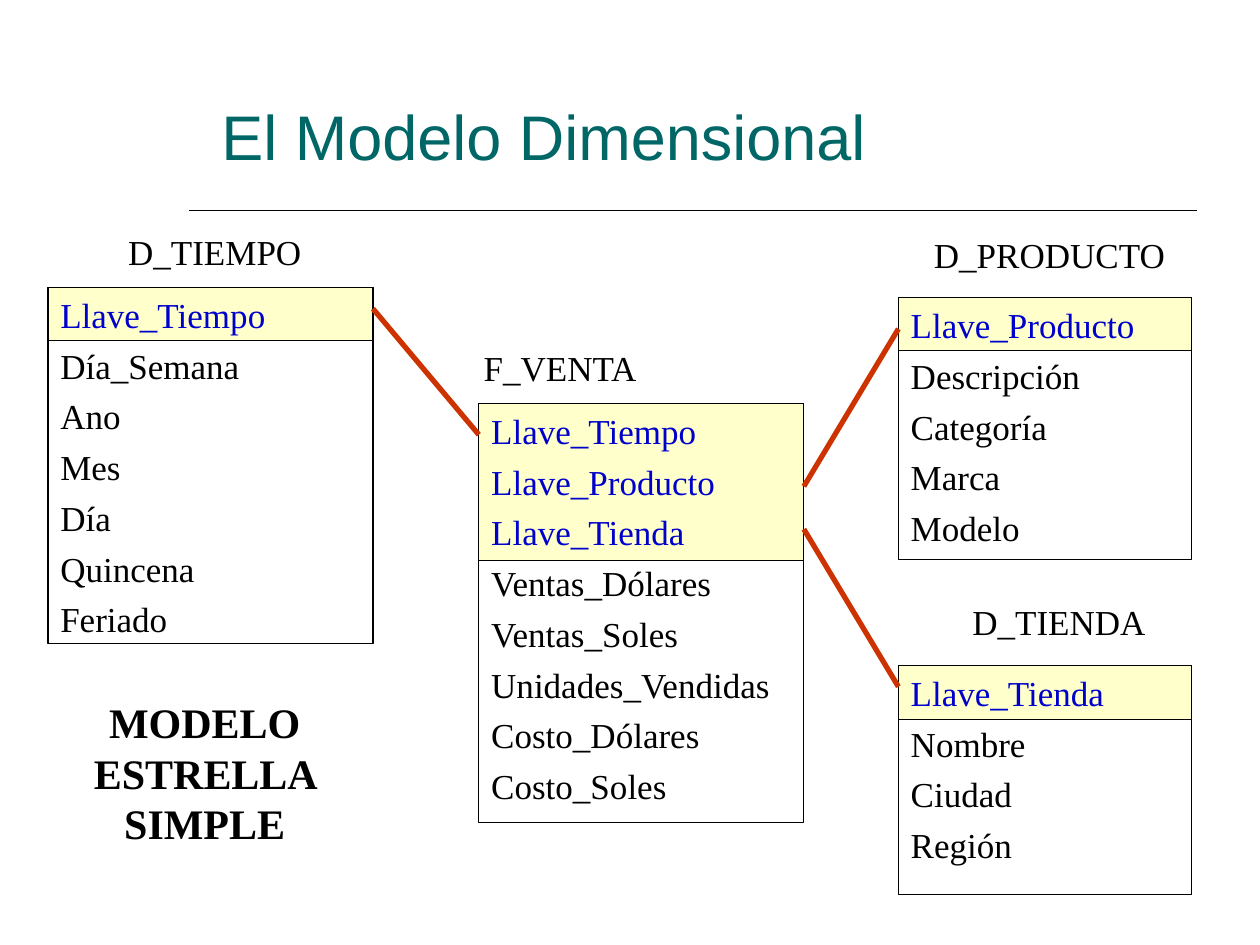
import pptx
import pptx.dml.color
import pptx.enum.shapes
import pptx.enum.text
import pptx.oxml.ns
import pptx.util
from lxml import etree

WIDTH, HEIGHT = pptx.util.Inches(10), pptx.util.Inches(7.5)
COLUMNS, ROWS = 100, 75
SERIF = "Times New Roman"
BLACK, KEY_BLUE, KEY_FILL = "000000", "0000CC", "FFFFCC"
TEAL, LINK_RED = "006666", "CC3300"
KEY_HEIGHT = 4.2
ALIGN = pptx.enum.text.PP_ALIGN
ANCHOR = pptx.enum.text.MSO_ANCHOR

ENTITIES = [
    {"name": "D_TIEMPO", "box": (3.8, 22.8, 25.8, 28.3), "label": (8.2, 17.8, 17.7, 4.4),
     "keys": ["Llave_Tiempo"],
     "fields": ["Día_Semana", "Ano", "Mes", "Día", "Quincena", "Feriado"]},
    {"name": "D_PRODUCTO", "box": (71.3, 23.6, 23.3, 20.8), "label": (72.1, 18, 22.4, 4.4),
     "keys": ["Llave_Producto"],
     "fields": ["Descripción", "Categoría", "Marca", "Modelo"]},
    {"name": "D_TIENDA", "box": (71.3, 52.8, 23.3, 18.2), "label": (75.2, 47.1, 17.7, 4.4),
     "keys": ["Llave_Tienda"],
     "fields": ["Nombre", "Ciudad", "Región"], "key_height": 4.3},
    {"name": "F_VENTA", "box": (38, 32, 25.8, 33.3), "label": (37.4, 27, 16.3, 4.4),
     "keys": ["Llave_Tiempo", "Llave_Producto", "Llave_Tienda"],
     "fields": ["Ventas_Dólares", "Ventas_Soles", "Unidades_Vendidas",
                "Costo_Dólares", "Costo_Soles"],
     "key_height": 12.5, "label_align": ALIGN.LEFT},
]
LINKS = [(29.6, 24.5, 38, 34.5), (71.3, 26.1, 63.8, 38.6), (71.3, 54.5, 63.8, 42)]


def color(value):
    """Turn a hex string into a colour."""
    return pptx.dml.color.RGBColor.from_string(value)


def across(columns):
    """Convert grid columns to a length."""
    return round(WIDTH * columns / COLUMNS)


def down(rows):
    """Convert grid rows to a length."""
    return round(HEIGHT * rows / ROWS)


def place(box):
    """Convert a grid box to left, top, width and height."""
    left, top, width, height = box
    return across(left), down(top), across(width), down(height)


def write(frame, text, size=20, font=SERIF, fill=BLACK, bold=False,
          align=ALIGN.LEFT, before=0, first=True):
    """Write one formatted paragraph into a text frame."""
    para = frame.paragraphs[0] if first else frame.add_paragraph()
    para.alignment = align
    para.space_before = pptx.util.Pt(before)
    span = para.add_run()
    span.text = text
    span.font.size = pptx.util.Pt(size)
    span.font.name = font
    span.font.bold = bold
    span.font.color.rgb = color(fill)


def add_text(page, box, text, anchor=ANCHOR.MIDDLE, **style):
    """Add a text box holding one paragraph."""
    frame = page.shapes.add_textbox(*place(box)).text_frame
    frame.word_wrap = True
    frame.vertical_anchor = anchor
    write(frame, text, **style)


def add_rectangle(page, box, fill=None):
    """Add a thinly outlined rectangle, filled or empty."""
    shape = page.shapes.add_shape(pptx.enum.shapes.MSO_SHAPE.RECTANGLE, *place(box))
    shape.shadow.inherit = False
    if fill:
        shape.fill.solid()
        shape.fill.fore_color.rgb = color(fill)
    else:
        shape.fill.background()
    shape.line.color.rgb = color(BLACK)
    shape.line.width = pptx.util.Pt(0.75)
    return shape


def add_line(page, ends, fill, weight):
    """Add a straight line between two grid points."""
    x1, y1, x2, y2 = ends
    line = page.shapes.add_connector(
        pptx.enum.shapes.MSO_CONNECTOR.STRAIGHT, across(x1), down(y1), across(x2), down(y2))
    line.line.color.rgb = color(fill)
    line.line.width = pptx.util.Pt(weight)
    etree.SubElement(line._element.spPr, pptx.oxml.ns.qn("a:effectLst"))


def add_entity(page, box, name, label, keys, fields,
               key_height=KEY_HEIGHT, label_align=ALIGN.CENTER):
    """Draw an entity with its key band, its fields and its name."""
    left, top, width, _ = box
    add_rectangle(page, (left, top, width, key_height), KEY_FILL)
    frame = add_rectangle(page, box).text_frame
    frame.word_wrap = True
    frame.vertical_anchor = ANCHOR.TOP
    frame.margin_top = down(0.5)
    for index, field in enumerate(keys + fields):
        write(frame, field, fill=KEY_BLUE if index < len(keys) else BLACK,
              before=5 if index else 0, first=index == 0)
    add_text(page, label, name, align=label_align)


def add_heading(page, box):
    """Draw the title and the rule under it."""
    add_line(page, (15, 16.7, 95, 16.7), BLACK, 1)
    add_text(page, box, "El Modelo Dimensional", anchor=ANCHOR.BOTTOM,
             size=36, font="Arial", fill=TEAL)


def main():
    """Build and save the star model slide."""
    deck = pptx.Presentation()
    deck.slide_width, deck.slide_height = WIDTH, HEIGHT
    page = deck.slides.add_slide(deck.slide_layouts[6])
    add_heading(page, (16.6, 7.1, 75.4, 7.1))
    for entity in ENTITIES:
        add_entity(page, **entity)
    for link in LINKS:
        add_line(page, link, LINK_RED, 3)
    add_text(page, (5.9, 54.8, 20.7, 13), "MODELO ESTRELLA SIMPLE",
             size=24, bold=True, align=ALIGN.CENTER)
    deck.save("out.pptx")


if __name__ == "__main__":
    main()
